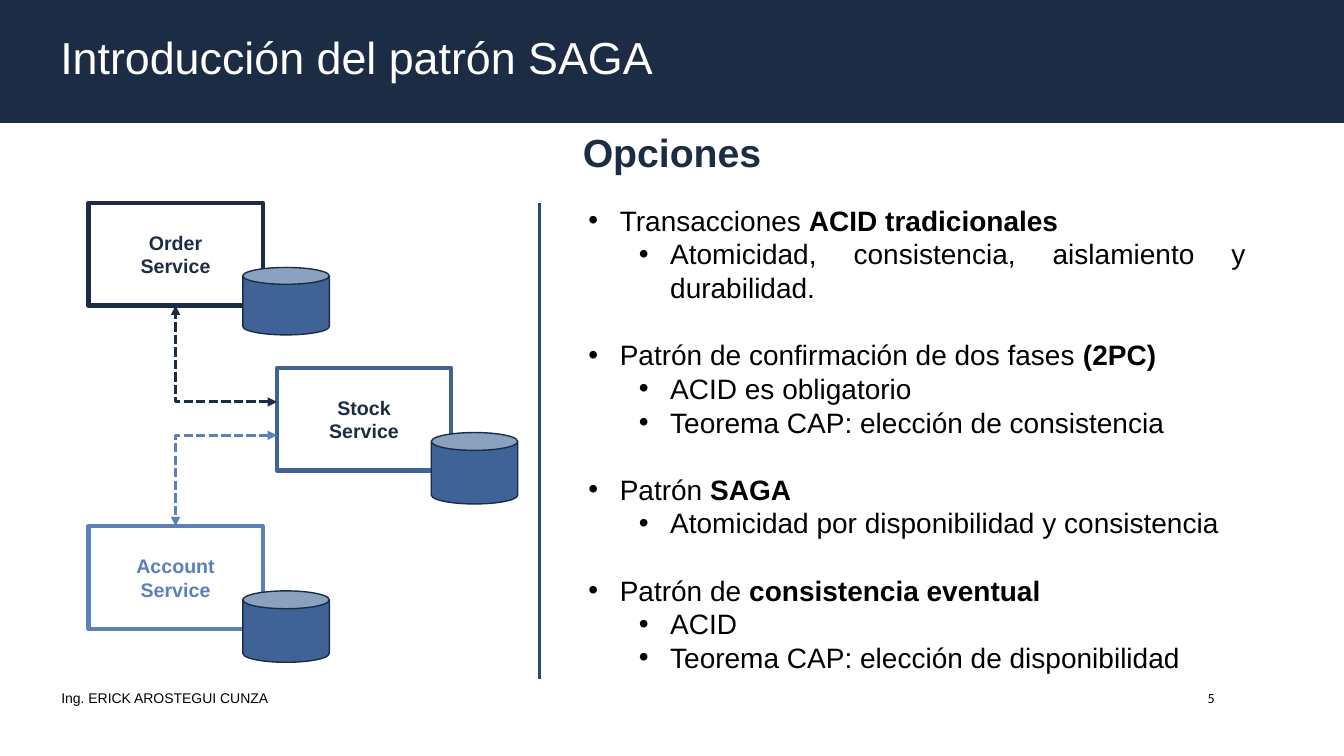
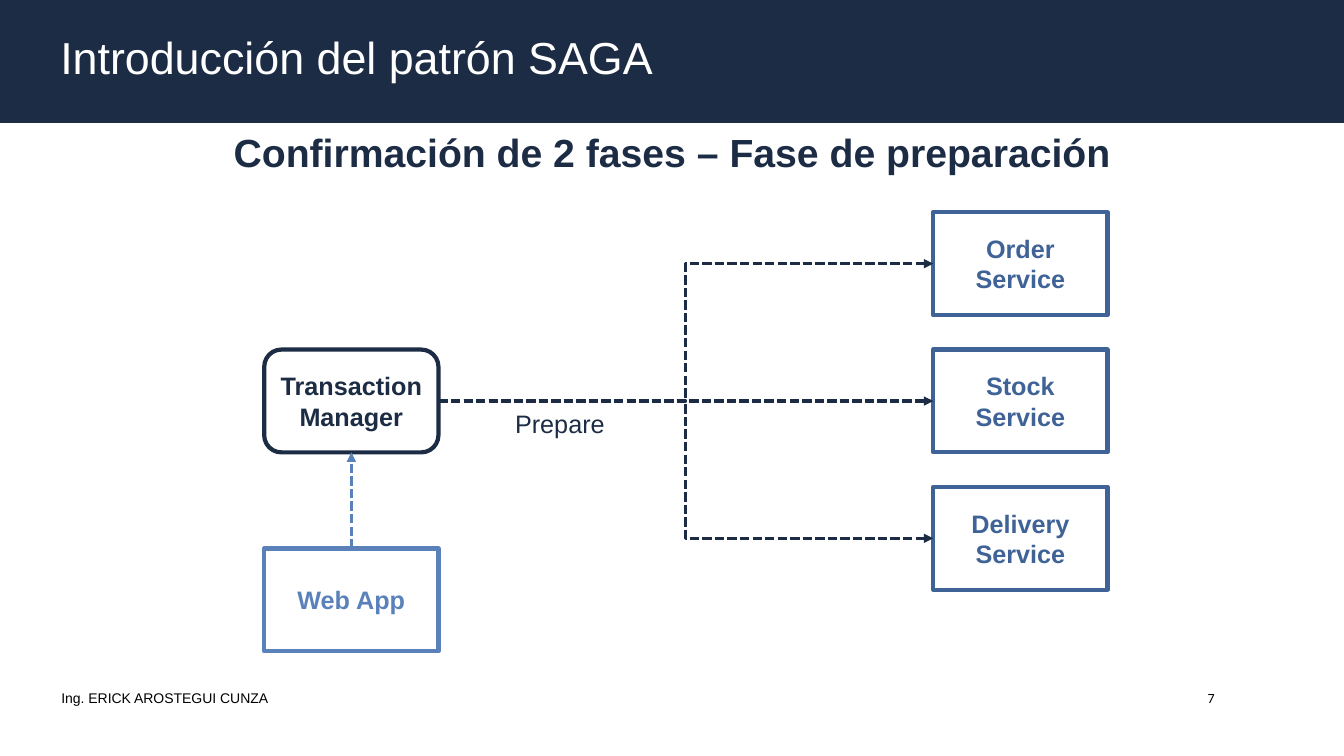
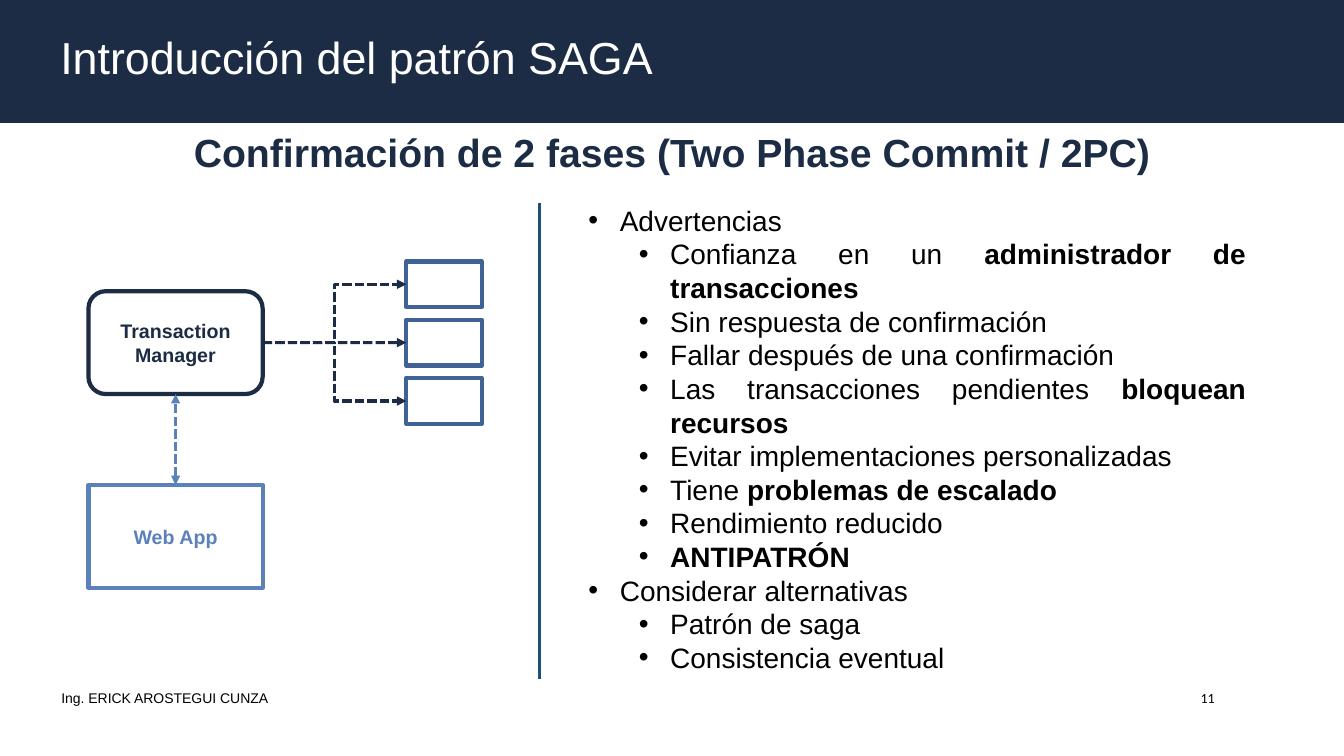
from dataclasses import dataclass

import pptx
import pptx.util
from lxml import etree
from pptx.dml.color import RGBColor
from pptx.enum.dml import MSO_LINE
from pptx.enum.shapes import MSO_CONNECTOR, MSO_SHAPE
from pptx.enum.text import MSO_ANCHOR, PP_ALIGN
from pptx.oxml.ns import qn
from pptx.util import Cm, Pt


@dataclass(frozen=True)
class Theme:
    navy: str = "1C2C44"
    blue: str = "3F6397"
    light: str = "5A81BA"
    rule: str = "1F4E79"
    black: str = "000000"
    white: str = "FFFFFF"
    font: str = "Arial"
    number_font: str = "Calibri"
    title: int = 32
    heading: int = 28
    body: int = 20
    label: int = 18
    small_label: int = 14
    footer: int = 10
    group_gap: int = 24


T = Theme()
SLIDE_W, SLIDE_H = 33.87, 19.05
BOX_W, BOX_H = 4.39, 2.59
BAND = (0, -0.25, SLIDE_W, 3.35)
TOP, LEFT, BOTTOM, RIGHT = range(4)

TITLE = "Introducción del patrón SAGA"
AUTHOR = "Ing. ERICK AROSTEGUI CUNZA"

# Each bullet: level, then (text, bold) runs
OPTIONS = [
    (0, [("Transacciones ", False), ("ACID tradicionales", True)]),
    (1, [("Atomicidad, consistencia, aislamiento y durabilidad.", False)]),
    (0, [("Patrón de confirmación de dos fases ", False), ("(2PC)", True)]),
    (1, [("ACID es obligatorio", False)]),
    (1, [("Teorema CAP: elección de consistencia", False)]),
    (0, [("Patrón ", False), ("SAGA", True)]),
    (1, [("Atomicidad por disponibilidad y consistencia", False)]),
    (0, [("Patrón de ", False), ("consistencia eventual", True)]),
    (1, [("ACID", False)]),
    (1, [("Teorema CAP: elección de disponibilidad", False)]),
]
WARNINGS = [
    (0, [("Advertencias", False)]),
    (1, [("Confianza en un ", False), ("administrador de transacciones", True)]),
    (1, [("Sin respuesta de confirmación", False)]),
    (1, [("Fallar después de una confirmación", False)]),
    (1, [("Las transacciones pendientes ", False), ("bloquean recursos", True)]),
    (1, [("Evitar implementaciones personalizadas", False)]),
    (1, [("Tiene ", False), ("problemas de escalado", True)]),
    (1, [("Rendimiento reducido", False)]),
    (1, [("ANTIPATRÓN", True)]),
    (0, [("Considerar alternativas", False)]),
    (1, [("Patrón de saga", False)]),
    (1, [("Consistencia eventual", False)]),
]

# Name: lines, left, top, outline, text colour, height of its database
SERVICES = {
    "order": (["Order", "Service"], 2.23, 5.11, T.navy, T.navy, 1.7),
    "account": (["Account", "Service"], 2.23, 13.26, T.light, T.light, 1.8),
    "stock": (["Stock", "Service"], 6.98, 9.27, T.blue, T.navy, 1.8),
}
PARTICIPANTS = ["Order Service", "Stock Service", "Delivery Service"]


def rgb(code):
    return RGBColor.from_string(code)


def add_run(p, text, size, color, bold=False, font=T.font):
    r = p.add_run()
    r.text = text
    r.font.name, r.font.size, r.font.bold = font, Pt(size), bold
    r.font.color.rgb = rgb(color)


def fill_text(tf, lines, size, color, align, bold=False, font=T.font):
    tf.word_wrap = True
    for i, line in enumerate(lines):
        p = tf.add_paragraph() if i else tf.paragraphs[0]
        p.alignment = align
        add_run(p, line, size, color, bold, font)


def add_text(s, area, text, size, color, align=PP_ALIGN.LEFT, **style):
    tf = s.shapes.add_textbox(*map(Cm, area)).text_frame
    fill_text(tf, [text], size, color, align, **style)
    return tf


def add_block(s, kind, area, fill=None, line=None, width=3):
    sp = s.shapes.add_shape(kind, *map(Cm, area))
    sp.shadow.inherit = False
    if fill:
        sp.fill.solid()
        sp.fill.fore_color.rgb = rgb(fill)
    else:
        sp.fill.background()
    if line:
        sp.line.color.rgb = rgb(line)
        sp.line.width = Pt(width)
    else:
        sp.line.fill.background()
    return sp


def add_box(s, left, top, lines, size, line, color=None, kind=MSO_SHAPE.RECTANGLE):
    sp = add_block(s, kind, (left, top, BOX_W, BOX_H), line=line)
    sp.text_frame.vertical_anchor = MSO_ANCHOR.MIDDLE
    fill_text(sp.text_frame, lines, size, color or line, PP_ALIGN.CENTER, bold=True)
    return sp


def add_line(s, kind, color, start=(0, 0), end=(0, 0)):
    c = s.shapes.add_connector(kind, *map(Cm, start + end))
    c.line.color.rgb = rgb(color)
    c.line.width = Pt(2.25)
    etree.SubElement(c._element.spPr, qn("a:effectLst"))
    return c


def add_arrow(s, kind, color, begin=None, end=None, start=(0, 0), double=False):
    """Dashed arrow; begin and end are (shape, side) pairs."""
    c = add_line(s, kind, color, start, start)
    c.line.dash_style = MSO_LINE.SQUARE_DOT
    if begin:
        c.begin_connect(*begin)
    c.end_connect(*end)
    ln = c.line._get_or_add_ln()
    for tag in ["a:headEnd", "a:tailEnd"] if double else ["a:tailEnd"]:
        etree.SubElement(ln, qn(tag), type="triangle")
    return c


def add_fan(s, source, targets):
    """Arrows from one box to a column of boxes, the middle one level with it."""
    middle = len(targets) // 2
    for i, target in enumerate(targets):
        kind = MSO_CONNECTOR.STRAIGHT if i == middle else MSO_CONNECTOR.ELBOW
        add_arrow(s, kind, T.navy, (source, RIGHT), (target, LEFT))


def add_bullets(s, items, gap=0):
    """Right-hand list with its divider; gap goes before each new top-level item."""
    add_line(s, MSO_CONNECTOR.STRAIGHT, T.rule, (13.59, 5.11), (13.59, 17.12))
    tf = s.shapes.add_textbox(*map(Cm, (14.58, 5, 17.07, 12.22))).text_frame
    tf.word_wrap = True
    for i, (level, runs) in enumerate(items):
        p = tf.add_paragraph() if i else tf.paragraphs[0]
        p.level, p.alignment = level, PP_ALIGN.JUSTIFY
        if i and level == 0 and gap:
            p.space_before = Pt(gap)
        pPr = p._p.get_or_add_pPr()
        pPr.set("marL", str(Cm(0.79 + 1.27 * level)))
        pPr.set("indent", str(Cm(-0.79)))
        etree.SubElement(pPr, qn("a:buFont"), typeface=T.font)
        etree.SubElement(pPr, qn("a:buChar"), char="•")
        for text, bold in runs:
            add_run(p, text, T.body, T.black, bold)


def add_slide(prs, heading, number):
    s = prs.slides.add_slide(prs.slide_layouts[6])
    add_block(s, MSO_SHAPE.RECTANGLE, BAND, fill=T.navy)
    add_text(s, (0.51 * 2.54, 17.25, 6, 0.69), AUTHOR, T.footer, T.black)
    add_text(s, (29.92, 17.25, 0.94, 0.69), number, T.footer, T.black,
             PP_ALIGN.RIGHT, font=T.number_font)
    tf = add_text(s, BAND, TITLE, T.title, T.white)
    tf.vertical_anchor = MSO_ANCHOR.MIDDLE
    tf.margin_left = Cm(1.52)
    add_text(s, (0, 3.12, SLIDE_W, 1.45), heading, T.heading, T.navy,
             PP_ALIGN.CENTER, bold=True)
    return s


def add_coordinator(s, left, manager_top, app_top, size, double=False):
    """Transaction manager with the web app that calls it from below."""
    manager = add_box(s, left, manager_top, ["Transaction Manager"], size, T.navy,
                      kind=MSO_SHAPE.ROUNDED_RECTANGLE)
    app = add_box(s, left, app_top, ["Web App"], size, T.light)
    add_arrow(s, MSO_CONNECTOR.STRAIGHT, T.light, (app, TOP), (manager, BOTTOM),
              double=double)
    return manager


def options_slide(prs):
    s = add_slide(prs, "Opciones", "5")
    add_bullets(s, OPTIONS, T.group_gap)
    boxes = {}
    for name, (lines, left, top, line, color, can_h) in SERVICES.items():
        boxes[name] = add_box(s, left, top, lines, T.small_label, line, color)
        add_block(s, MSO_SHAPE.CAN, (left + 3.89, top + 1.63, 2.18, can_h),
                  T.blue, T.navy, 1)
    stock_left = SERVICES["stock"][1]
    for name, side, y, color in [("account", TOP, 10.97, T.light),
                                 ("order", BOTTOM, 10.13, T.navy)]:
        c = add_arrow(s, MSO_CONNECTOR.ELBOW, color, end=(boxes[name], side),
                      start=(stock_left, y), double=True)
        c._element.spPr.find(qn("a:prstGeom")).set("prst", "bentConnector2")


def prepare_slide(prs):
    s = add_slide(prs, "Confirmación de 2 fases – Fase de preparación", "7")
    top, pitch = 8.81, 3.46
    manager = add_coordinator(s, 6.66, top, 13.82, T.label)
    targets = [add_box(s, 23.52, top + (i - 1) * pitch, [name], T.label, T.blue)
               for i, name in enumerate(PARTICIPANTS)]
    add_fan(s, manager, targets)
    add_text(s, (10.95, 10.16, 6.32, 1.02), "Prepare", T.label, T.navy,
             PP_ALIGN.CENTER)


def warnings_slide(prs):
    s = add_slide(prs, "Confirmación de 2 fases (Two Phase Commit / 2PC)", "11")
    add_bullets(s, WARNINGS)
    top, pitch, w, h = 7.34, 1.47, 1.9, 1.15
    manager = add_coordinator(s, 2.23, top, 12.22, T.small_label, double=True)
    first = top + (BOX_H - h) / 2 - pitch
    targets = [add_block(s, MSO_SHAPE.RECTANGLE, (10.24, first + i * pitch, w, h),
                         line=T.blue) for i in range(3)]
    add_fan(s, manager, targets)


def main():
    prs = pptx.Presentation()
    prs.slide_width, prs.slide_height = Cm(SLIDE_W), Cm(SLIDE_H)
    for build in (options_slide, prepare_slide, warnings_slide):
        build(prs)
    prs.save("out.pptx")


if __name__ == "__main__":
    main()
